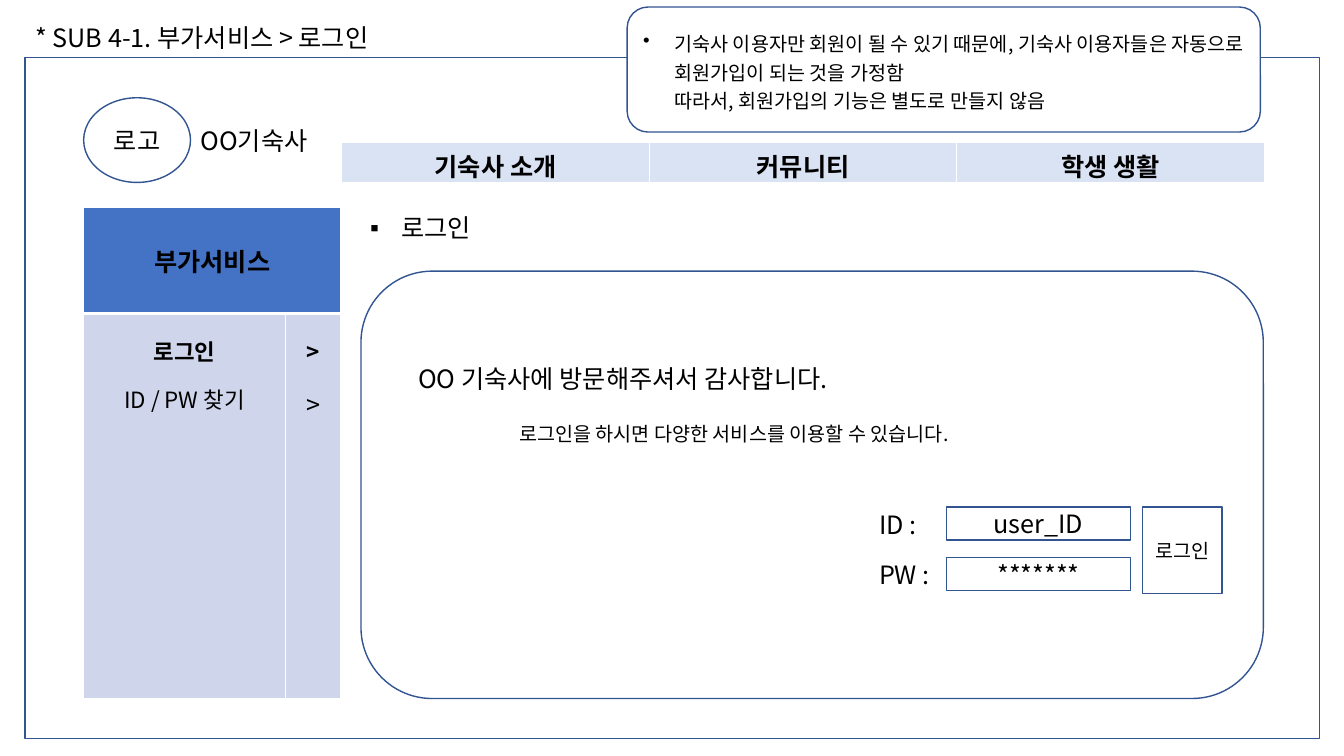
from lxml.etree import SubElement
from pptx import Presentation
from pptx.dml.color import RGBColor as RGB
from pptx.enum.shapes import MSO_SHAPE as SHAPE
from pptx.enum.text import MSO_ANCHOR as ANCHOR, MSO_AUTO_SIZE as AUTO, PP_ALIGN as ALIGN
from pptx.oxml.ns import qn
from pptx.util import Inches, Pt

FONT = "Noto Sans CJK KR"
COLORS = {"text": "000000", "line": "325491", "white": "FFFFFF",
          "nav": "DAE3F3", "header": "4472C4", "menu": "CFD5EA"}


def write(frame, lines, align=ALIGN.LEFT, anchor=ANCHOR.TOP, bullet=None, **spacing):
    """Fill a text frame with (text, size, bold) lines."""
    frame.word_wrap, frame.auto_size, frame.vertical_anchor = True, AUTO.NONE, anchor
    for i, (text, size, bold) in enumerate(lines):
        line = frame.paragraphs[0] if i == 0 else frame.add_paragraph()
        line.text = text
        formats = {"alignment": align, "space_before": Pt(0), **spacing}
        for key, value in formats.items():
            setattr(line, key, value)
        for run in line.runs:
            for key, value in {"name": FONT, "size": Pt(size), "bold": bold}.items():
                setattr(run.font, key, value)
            run.font.color.rgb = RGB.from_string(COLORS["text"])
            SubElement(run.font._element, qn("a:ea"), typeface=FONT)
        if bullet:
            props = line._p.get_or_add_pPr()
            props.set("marL", str(Inches(0.31)))
            props.set("indent", str(-Inches(0.31)))
            SubElement(props, qn("a:buChar"), char=bullet)


def outline(parent, kind, box, fill=None):
    """Add an outlined shape without a shadow."""
    shape = parent.add_shape(kind, *map(Inches, box))
    shape.shadow.inherit = False
    if fill:
        shape.fill.solid()
        shape.fill.fore_color.rgb = RGB.from_string(COLORS[fill])
    else:
        shape.fill.background()
    shape.line.color.rgb = RGB.from_string(COLORS["line"])
    shape.line.width = Pt(1)
    return shape


prs = Presentation()
prs.slide_width, prs.slide_height = Inches(13.33), Inches(7.5)
slide = prs.slides.add_slide(prs.slide_layouts[1])
shapes = slide.shapes
centred = {"align": ALIGN.CENTER, "anchor": ANCHOR.MIDDLE}

# Page title and section heading
page_title, section = slide.placeholders
headings = [(page_title, (0.25, 0.17, 5, 0.4), "* SUB 4-1. 부가서비스 > 로그인", None),
            (section, (3.57, 2.06, 2, 0.4), "로그인", "▪")]
for holder, box, text, bullet in headings:
    holder.left, holder.top, holder.width, holder.height = map(Inches, box)
    write(holder.text_frame, [(text, 18, False)], bullet=bullet)

# Page frame
outline(shapes, SHAPE.RECTANGLE, (0.25, 0.57, 12.84, 6.76))

# Logo and dormitory name
brand = shapes.add_group_shape().shapes
logo = outline(brand, SHAPE.OVAL, (0.83, 0.97, 1.06, 0.84))
write(logo.text_frame, [("로고", 18, False)], **centred)
dormitory = brand.add_textbox(*map(Inches, (1.89, 1.19, 1.5, 0.4)))
write(dormitory.text_frame, [("OO기숙사", 18, False)])

# Navigation bar and side menu tables
nav = shapes.add_table(1, 3, *map(Inches, (3.39, 1.41, 9.14, 0.41))).table
menu = shapes.add_table(2, 2, *map(Inches, (0.83, 2.06, 2.55, 4.87))).table
for table, widths, heights in [(nav, [3.05] * 3, [0.41]), (menu, [2, 0.55], [1.05, 3.82])]:
    table.first_row = table.horz_banding = False
    for column, width in zip(table.columns, widths):
        column.width = Inches(width)
    for row, height in zip(table.rows, heights):
        row.height = Inches(height)
menu.cell(0, 0).merge(menu.cell(0, 1))

nav_names = ["기숙사 소개", "커뮤니티", "학생 생활"]
cells = [(nav.cell(0, i), "nav", 3, [(name, 18, True)], {"align": ALIGN.CENTER})
         for i, name in enumerate(nav_names)]
menu_format = {"align": ALIGN.CENTER, "line_spacing": 1.5}
cells += [
    (menu.cell(0, 0), "header", 3, [("부가서비스", 18, True)], centred),
    (menu.cell(0, 1), "header", 3, [], {}),
    (menu.cell(1, 0), "menu", 1, [("로그인", 16, True), ("ID / PW 찾기", 16, False)], menu_format),
    (menu.cell(1, 1), "menu", 1, [(">", 16, True), (">", 18, False)], menu_format),
]
for cell, fill, bottom, lines, formats in cells:
    props = cell._tc.get_or_add_tcPr()
    for side, width in {"L": 1, "R": 1, "T": 1, "B": bottom}.items():
        border = SubElement(props, qn(f"a:ln{side}"), w=str(Pt(width)))
        SubElement(SubElement(border, qn("a:solidFill")), qn("a:srgbClr"), val=COLORS["white"])
    cell.fill.solid()
    cell.fill.fore_color.rgb = RGB.from_string(COLORS[fill])
    if lines:
        anchor = formats.get("anchor", ANCHOR.TOP)
        write(cell.text_frame, lines, **formats)
        cell.vertical_anchor = anchor
    if fill == "nav":
        cell.margin_bottom = 0

# Login panel with greeting
outline(shapes, SHAPE.ROUNDED_RECTANGLE, (3.58, 2.69, 8.95, 4.24))
greeting = shapes.add_textbox(*map(Inches, (4.05, 3.56, 5.99, 1.01))).text_frame
write(greeting, [("OO 기숙사에 방문해주셔서 감사합니다.", 18, False),
                 ("로그인을 하시면 다양한 서비스를 이용할 수 있습니다.", 14, False)])
benefit = greeting.paragraphs[1]
benefit.space_before = Pt(20)
benefit._p.get_or_add_pPr().set("marL", str(Inches(1)))

# Login form
form = shapes.add_group_shape().shapes
for i, (label, value, width) in enumerate([("ID :", "user_ID", 0.64), ("PW :", "*******", 0.9)]):
    top = 5.03 + 0.5 * i
    field = outline(form, SHAPE.RECTANGLE, (9.39, top, 1.82, 0.33))
    write(field.text_frame, [(value, 18, False)], **centred)
    caption = form.add_textbox(*map(Inches, (8.62, top - 0.03, width, 0.4)))
    write(caption.text_frame, [(label, 18, False)])
login = outline(form, SHAPE.RECTANGLE, (11.33, 5.03, 0.79, 0.86))
write(login.text_frame, [("로그인", 14, False)], **centred)

# Membership note
note = outline(shapes, SHAPE.ROUNDED_RECTANGLE, (6.22, 0.07, 6.28, 1.24), "white")
write(note.text_frame,
      [("기숙사 이용자만 회원이 될 수 있기 때문에, 기숙사 이용자들은 자동으로 회원가입이 되는 것을 가정함\n"
        "따라서, 회원가입의 기능은 별도로 만들지 않음", 14, False)],
      anchor=ANCHOR.MIDDLE, bullet="•", line_spacing=1.23)

prs.save("out.pptx")
